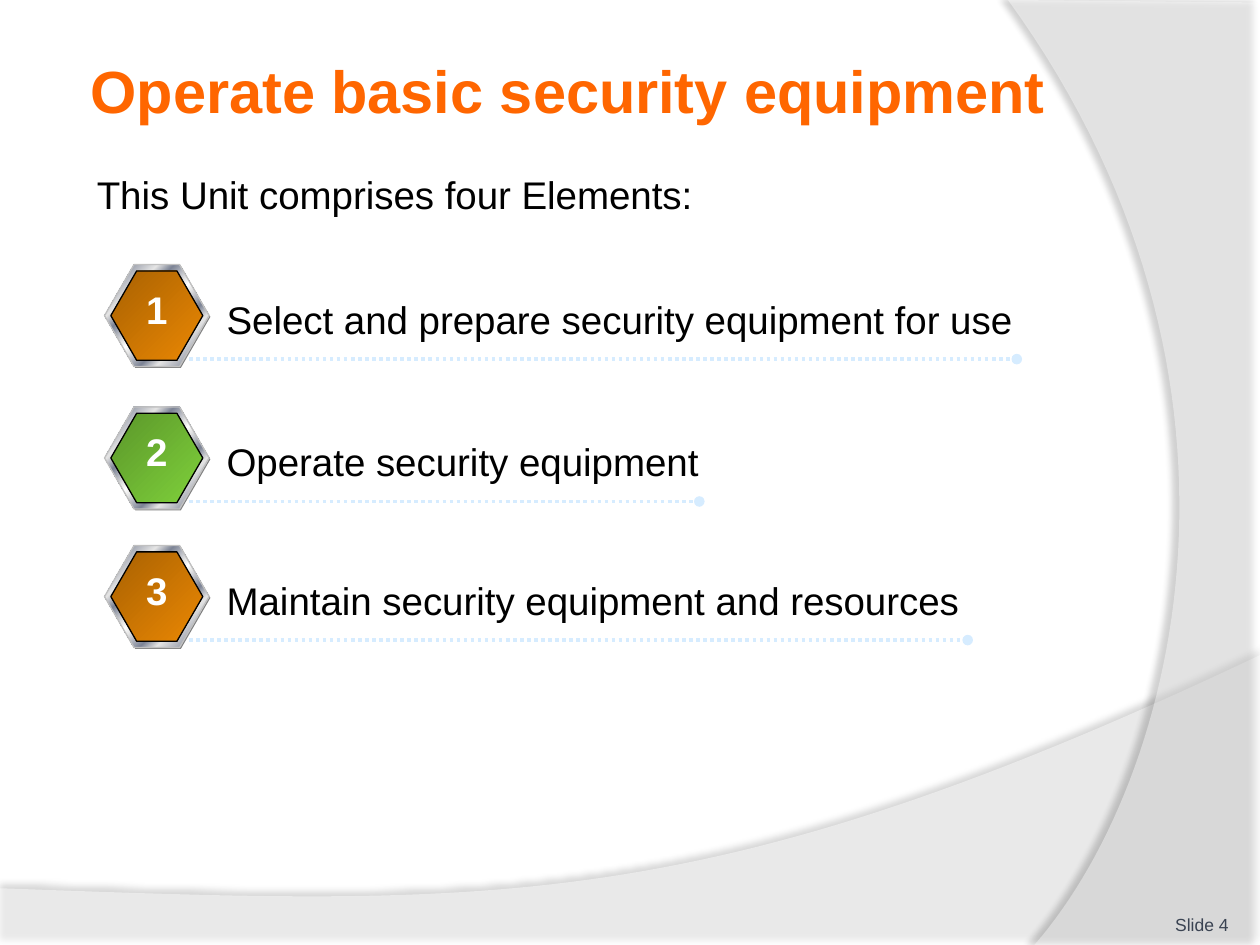
import dataclasses

import lxml.etree
import pptx
import pptx.dml.color
import pptx.enum.dml
import pptx.enum.shapes
import pptx.enum.text
import pptx.oxml.ns
import pptx.util

RGB = pptx.dml.color.RGBColor
Inches = pptx.util.Inches
Pt = pptx.util.Pt
qn = pptx.oxml.ns.qn
ALIGN = pptx.enum.text.PP_ALIGN
ANCHOR = pptx.enum.text.MSO_ANCHOR

FONT = "Arial"
WHITE = RGB(0xFF, 0xFF, 0xFF)
BLACK = RGB(0, 0, 0)
ORANGE = RGB(0xFF, 0x66, 0x00)
SLATE = RGB(0x3A, 0x43, 0x52)
GREY = RGB(0x80, 0x80, 0x80)
SILVER = RGB(0xC0, 0xC0, 0xC0)
PALE = RGB(0xD6, 0xEC, 0xFF)
LIGHT = RGB(0xE6, 0xE6, 0xE6)
STEEL = RGB(0x7D, 0x84, 0x96)
AMBER = [(0, RGB(0xA8, 0x61, 0x02)), (100, RGB(0xEB, 0x88, 0x03))]
GREEN = [(0, RGB(0x5B, 0x96, 0x2A)), (100, RGB(0x7F, 0xD1, 0x3B))]
METAL = [(0, LIGHT), (8, STEEL), (26, LIGHT), (34, STEEL), (46, LIGHT), (50, WHITE),
         (54, LIGHT), (66, STEEL), (74, LIGHT), (92, STEEL), (100, LIGHT)]


@dataclasses.dataclass
class Wave:
    start: tuple
    before: list  # straight corners ahead of the curve
    curve: list  # two control points and the end
    alpha: int
    shade: int
    dist: float
    angle: int


@dataclasses.dataclass
class Item:
    text: str
    top: float
    end: float
    width: float
    face: list


WAVES = [
    Wave((0, 7.05), [(0, 7.5), (10, 7.5), (10, 5.2)],
         [(5.59, 7.29), (3.91, 7.19), (0, 7.05)], 45, 35, 3.5, 270),
    Wave((10, 0.02), [(10, 7.5), (8.21, 7.5)],
         [(9.35, 6.19), (10.18, 3), (8, 0)], 40, 45, 4, 180),
]
ITEMS = [
    Item("Select and prepare security equipment for use", 2.1, 8.07, 7.63, AMBER),
    Item("Operate security equipment", 3.23, 5.55, 5.22, GREEN),
    Item("Maintain security equipment and resources", 4.33, 7.68, 7.18, AMBER),
]


def add_node(parent, tag: str, **attrs):
    return lxml.etree.SubElement(parent, qn(tag), {k: str(v) for k, v in attrs.items()})


def trace(first: tuple, curve: list, steps: int = 60) -> list:
    """Points along a cubic curve."""
    points = []
    for n in range(1, steps + 1):
        t = n / steps
        parts = ((1 - t) ** 3, 3 * t * (1 - t) ** 2, 3 * t * t * (1 - t), t ** 3)
        points.append(tuple(sum(w * p[axis] for w, p in zip(parts, [first, *curve]))
                            for axis in (0, 1)))
    return points


def add_wave(slide, wave: Wave) -> None:
    points = wave.before + trace(wave.before[-1], wave.curve)
    form = slide.shapes.build_freeform(Inches(wave.start[0]), Inches(wave.start[1]))
    form.add_line_segments([(Inches(x), Inches(y)) for x, y in points], close=True)
    shape = form.convert_to_shape()
    shape.fill.solid()
    shape.fill.fore_color.rgb = WHITE
    color = next(shape.element.spPr.iter(qn("a:srgbClr")))
    add_node(color, "a:alpha", val=wave.alpha * 1000)
    shape.line.fill.background()
    shape.shadow.inherit = False
    effect = shape.element.spPr.find(qn("a:effectLst"))
    cast = add_node(effect, "a:outerShdw", blurRad=Pt(4), dist=Pt(wave.dist),
                    dir=wave.angle * 60000, algn="ctr", rotWithShape=0)
    tint = add_node(cast, "a:srgbClr", val=BLACK)
    add_node(tint, "a:alpha", val=wave.shade * 1000)


def style(frame, text: str, size: float, color: RGB, bold: bool = False,
          align=ALIGN.LEFT) -> None:
    frame.text = text
    line = frame.paragraphs[0]
    line.alignment = align
    font = line.runs[0].font
    font.name, font.size, font.bold = FONT, Pt(size), bold
    font.color.rgb = color


def add_text(slide, box: tuple, text: str, size: float, color: RGB, wrap: bool = True,
             **look):
    frame = slide.shapes.add_textbox(*map(Inches, box)).text_frame
    frame.word_wrap = wrap
    style(frame, text, size, color, **look)
    return frame


def add_hex(slide, box: tuple, stops: list, edge=None) -> None:
    shape = slide.shapes.add_shape(pptx.enum.shapes.MSO_SHAPE.HEXAGON, *map(Inches, box))
    shape.adjustments[0] = 0.289
    shape.shadow.inherit = False
    if len(stops) == 1:
        shape.fill.solid()
        shape.fill.fore_color.rgb = stops[0][1]
    else:
        shape.fill.gradient()
        shape.fill.gradient_angle = 315
        group = next(shape.element.spPr.iter(qn("a:gsLst")))
        for old in list(group):
            group.remove(old)
        for spot, color in stops:
            add_node(add_node(group, "a:gs", pos=spot * 1000), "a:srgbClr", val=color)
    if edge is None:
        shape.line.fill.background()
    else:
        shape.line.color.rgb = edge
        shape.line.width = Pt(0.75)


def add_rule(slide, left: float, right: float, y: float) -> None:
    rule = slide.shapes.add_connector(pptx.enum.shapes.MSO_CONNECTOR.STRAIGHT,
                                      Inches(left), Inches(y), Inches(right), Inches(y))
    rule.line.color.rgb = PALE
    rule.line.width = Pt(2)
    rule.line.dash_style = pptx.enum.dml.MSO_LINE.ROUND_DOT
    add_node(rule.element.spPr.find(qn("a:ln")), "a:tailEnd", type="oval")
    add_node(rule.element.spPr, "a:effectLst")


def add_item(slide, item: Item, number: int) -> None:
    top = item.top
    # Badge: shade, metal rim, coloured face
    add_hex(slide, (0.84, top + 0.01, 0.83, 0.81), [(0, GREY)])
    add_hex(slide, (0.83, top, 0.83, 0.81), METAL, SILVER)
    add_hex(slide, (0.88, top + 0.05, 0.73, 0.71), item.face, BLACK)
    # Dotted rule and wording
    add_rule(slide, 1.5, item.end, top + 0.75)
    frames = [
        add_text(slide, (1.7, top + 0.2, item.width, 0.47), item.text, 22, BLACK),
        add_text(slide, (1.06, top + 0.12, 0.37, 0.47), str(number), 22, WHITE,
                 wrap=False, bold=True, align=ALIGN.CENTER),
    ]
    for frame in frames:
        frame.auto_size = pptx.enum.text.MSO_AUTO_SIZE.SHAPE_TO_FIT_TEXT


def main() -> None:
    deck = pptx.Presentation()
    deck.slide_width, deck.slide_height = Inches(10), Inches(7.5)
    slide = deck.slides.add_slide(deck.slide_layouts[5])

    # Background waves
    for wave in WAVES:
        add_wave(slide, wave)

    # Title, brought in front of the waves
    title = slide.shapes.title
    title.element.getparent().append(title.element)
    title.left, title.top, title.width, title.height = map(Inches, (0.67, 0.36, 8.17, 0.71))
    frame = title.text_frame
    frame.margin_left = frame.margin_right = Inches(0.05)
    frame.margin_top = frame.margin_bottom = Inches(0.05)
    frame.vertical_anchor = ANCHOR.MIDDLE
    style(frame, "Operate basic security equipment", 34, ORANGE, bold=True)

    # Lead-in and slide number
    add_text(slide, (0.67, 1.31, 8.17, 0.5), "This Unit comprises four Elements:", 22, BLACK)
    foot = add_text(slide, (8.92, 7.02, 0.83, 0.4), "Slide 4", 10, SLATE, align=ALIGN.RIGHT)
    foot.margin_left = foot.margin_right = foot.margin_top = foot.margin_bottom = 0
    foot.vertical_anchor = ANCHOR.BOTTOM

    # Numbered elements
    for number, item in enumerate(ITEMS, 1):
        add_item(slide, item, number)

    deck.save("out.pptx")


if __name__ == "__main__":
    main()
